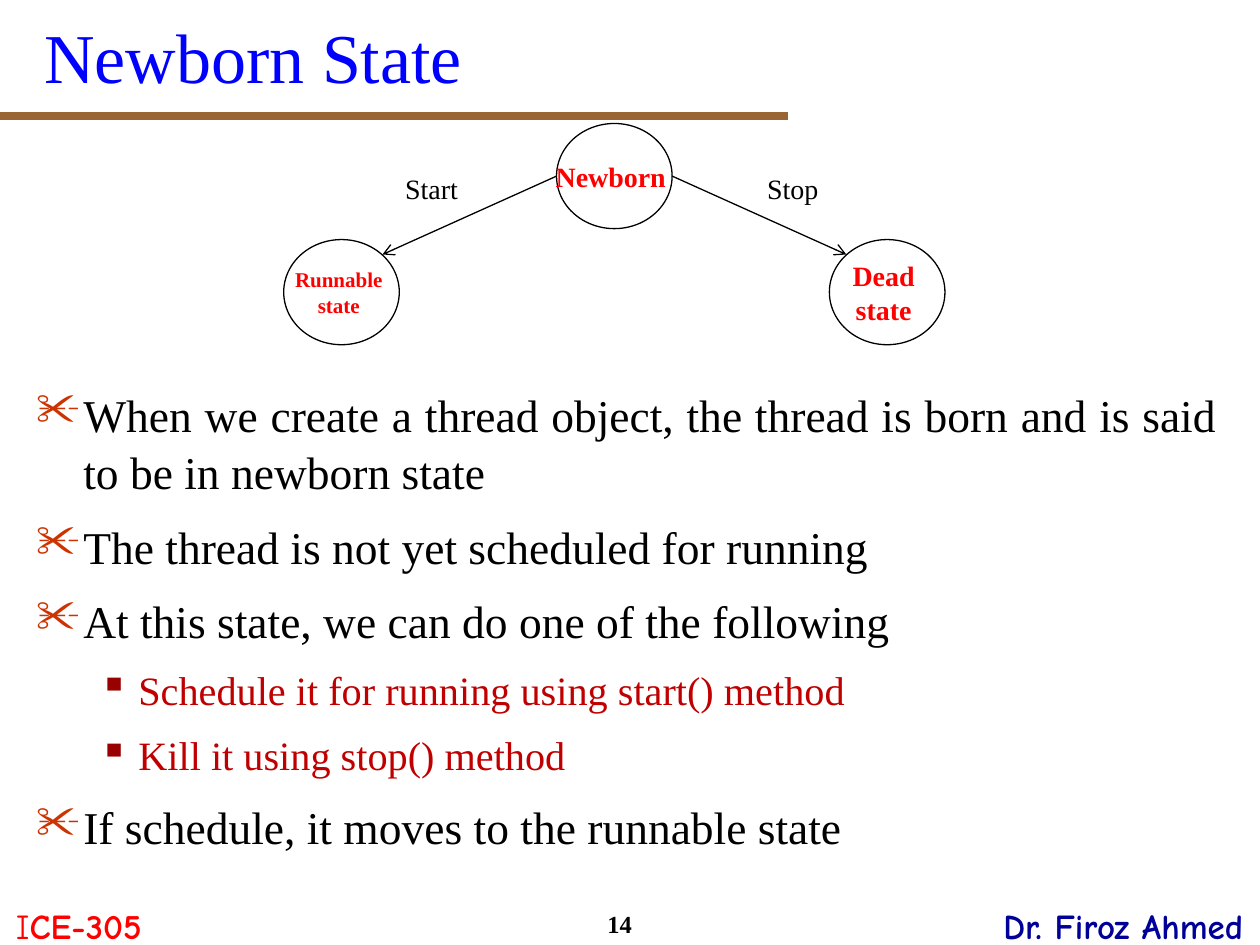
from lxml.etree import SubElement as Sub
from pptx import Presentation
from pptx.dml.color import RGBColor as Rgb
from pptx.enum.shapes import MSO_CONNECTOR as Conn, MSO_SHAPE as Geo
from pptx.enum.text import MSO_ANCHOR as Anchor, MSO_AUTO_SIZE as Fit, PP_ALIGN as Align
from pptx.oxml.ns import qn
from pptx.util import Cm, Pt

INK = {"black": "000000", "white": "FFFFFF", "blue": "0000FF", "navy": "000099",
       "red": "FF0000", "brown": "996633", "rust": "CC3300", "dark": "990000",
       "crimson": "C00000"}
SERIF, COMIC = "Times New Roman", "Comic Neue"


def write(para, text, size, ink, font=SERIF, bold=False, align=Align.CENTER):
    para.alignment = align
    run = para.add_run()
    run.text = text
    run.font.name, run.font.size, run.font.bold = font, Pt(size), bold
    run.font.color.rgb = Rgb.from_string(INK[ink])


def draw(x1, y1, x2, y2, ink, width):
    line = slide.shapes.add_connector(Conn.STRAIGHT, Cm(x1), Cm(y1), Cm(x2), Cm(y2))
    line.line.color.rgb = Rgb.from_string(INK[ink])
    line.line.width = Pt(width)
    Sub(line._element.spPr, qn("a:effectLst"))
    return line


deck = Presentation()
deck.slide_width, deck.slide_height = Cm(25.4), Cm(19.05)
slide = deck.slides.add_slide(deck.slide_layouts[5])

# Title and rule
title = slide.shapes.title
title.left, title.top, title.width, title.height = Cm(0.64), Cm(-0.05), Cm(24.13), Cm(2.33)
title.text_frame.auto_size = Fit.NONE
title.text_frame.vertical_anchor = Anchor.MIDDLE
write(title.text_frame.paragraphs[0], "Newborn State", 40, "blue", align=Align.LEFT)
draw(0, 2.33, 15.88, 2.33, "brown", 4.5)

# Footer and arrow labels: place, wrap, size, font, ink, runs with bold flag
labels = [
    (0, 18.1, 3.18, 1.11, True, 20, COMIC, "red", [("I", False), ("CE-305", True)]),
    (19.89, 18.1, 5.51, 1.11, True, 20, COMIC, "navy", [("Dr. Firoz Ahmed", True)]),
    (11.64, 18.2, 1.7, 0.85, True, 14, SERIF, "black", [("14", True)]),
    (7.85, 3.33, 1.7, 0.94, False, 16, SERIF, "black", [("Start ", False)]),
    (15.21, 3.33, 1.68, 0.94, False, 16, SERIF, "black", [("Stop ", False)]),
]
for x, y, w, h, wrap, size, font, ink, runs in labels:
    frame = slide.shapes.add_textbox(Cm(x), Cm(y), Cm(w), Cm(h)).text_frame
    frame.word_wrap = wrap
    for text, bold in runs:
        write(frame.paragraphs[0], text, size, ink, font, bold)

# State circles
states = [(11.22, 2.49, 16, ["Newborn "]),
          (16.72, 4.83, 16, ["Dead ", "state "]),
          (5.72, 4.83, 12, ["Runnable ", "state "])]
for x, y, size, words in states:
    disc = slide.shapes.add_shape(Geo.OVAL, Cm(x), Cm(y), Cm(2.33), Cm(2.12))
    disc.shadow.inherit = False
    disc.fill.solid()
    disc.fill.fore_color.rgb = Rgb.from_string(INK["white"])
    disc.line.color.rgb = Rgb.from_string(INK["black"])
    disc.line.width = Pt(0.75)
    frame = disc.text_frame
    frame.word_wrap = False
    frame.vertical_anchor = Anchor.MIDDLE
    for i, word in enumerate(words):
        para = frame.add_paragraph() if i else frame.paragraphs[0]
        write(para, word, size, "red", bold=True)

# Arrows between the states
for start, end in [(11.22, 7.71), (13.55, 17.06)]:
    arrow = draw(start, 3.55, end, 5.13, "black", 0.75)
    Sub(arrow.line._get_or_add_ln(), qn("a:tailEnd"), type="arrow")

# Bulleted text
points = [
    (0, "When we create a thread object, the thread is born and is said to be in newborn state"),
    (0, "The thread is not yet scheduled for running "),
    (0, "At this state, we can do one of the following "),
    (1, "Schedule it for running using start() method"),
    (1, "Kill it using stop() method"),
    (0, "If schedule, it moves to the runnable state"),
]
# Per level: size, ink, space before, margin, hang, bullet, bullet ink
levels = [(26, "black", 9.8, 0.95, 0.95, "✂", "rust"),
          (23, "crimson", 8.6, 2.06, 0.79, "▪", "dark")]
body = slide.shapes.add_textbox(Cm(0.48), Cm(7.62), Cm(24.33), Cm(10.59)).text_frame
body.word_wrap = True
for i, (level, text) in enumerate(points):
    size, ink, gap, left, hang, mark, tint = levels[level]
    para = body.add_paragraph() if i else body.paragraphs[0]
    write(para, text, size, ink, align=Align.JUSTIFY)
    para.level, para.line_spacing, para.space_before = level, 1.05, Pt(gap)
    props = para._p.get_or_add_pPr()
    props.set("marL", str(Cm(left)))
    props.set("indent", str(-Cm(hang)))
    Sub(Sub(props, qn("a:buClr")), qn("a:srgbClr"), val=INK[tint])
    Sub(props, qn("a:buChar"), char=mark)

deck.save("out.pptx")
